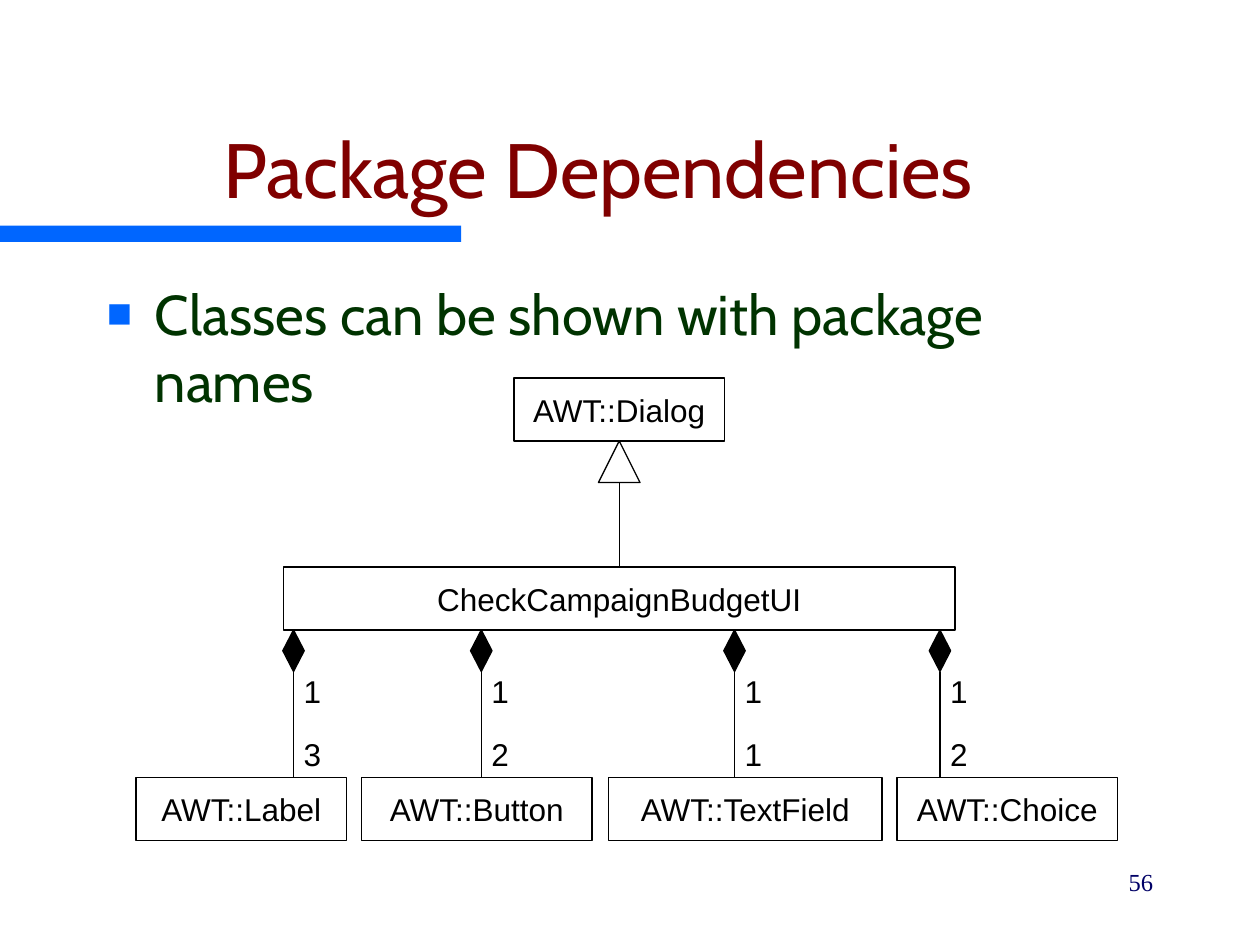
from lxml import etree
from pptx import Presentation
from pptx.dml.color import RGBColor
from pptx.enum.shapes import MSO_CONNECTOR, MSO_SHAPE
from pptx.enum.text import MSO_ANCHOR, PP_ALIGN
from pptx.oxml.ns import qn
from pptx.util import Inches, Pt

RECT, DIAMOND, TRIANGLE = MSO_SHAPE.RECTANGLE, MSO_SHAPE.DIAMOND, MSO_SHAPE.ISOSCELES_TRIANGLE
STRAIGHT = MSO_CONNECTOR.STRAIGHT
LEFT, CENTER, RIGHT = PP_ALIGN.LEFT, PP_ALIGN.CENTER, PP_ALIGN.RIGHT
TOP, MIDDLE, BOTTOM = MSO_ANCHOR.TOP, MSO_ANCHOR.MIDDLE, MSO_ANCHOR.BOTTOM

BLACK, WHITE, BLUE = "000000", "FFFFFF", "0066FF"
TITLE = "Package Dependencies"
BULLET = "Classes can be shown with package names"
PAGE = "56"
PARENT = ("AWT::Dialog", 4.08, 3, 1.67)
OWNER = ("CheckCampaignBudgetUI", 2.25, 4.5, 5.33)
PARTS = [
    ("AWT::Label", 1.08, 1.67, 2.33, "1", "3"),
    ("AWT::Button", 2.87, 1.83, 3.82, "1", "2"),
    ("AWT::TextField", 4.83, 2.17, 5.83, "1", "1"),
    ("AWT::Choice", 7.12, 1.75, 7.46, "1", "2"),
]
BOX_H, PART_Y = 0.5, 6.17
DIAMOND_W, HEAD = 0.17, 0.33

TITLE_FONT = {"name": "Cabin", "size": Pt(44)}
BODY_FONT = {"name": "Cabin", "size": Pt(32)}
CLASS_FONT = {"name": "Arial", "size": Pt(18)}
PAGE_FONT = {"name": "Times New Roman", "size": Pt(14)}


def rgb(value):
    return RGBColor.from_string(value)


def write(sp, text, font, color, align=LEFT, anchor=TOP, wrap=True, margin=None):
    tf = sp.text_frame
    tf.word_wrap = wrap
    tf.vertical_anchor = anchor
    if margin is not None:
        for side in ("left", "top", "right", "bottom"):
            setattr(tf, f"margin_{side}", Inches(margin))
    p = tf.paragraphs[0]
    p.alignment = align
    r = p.add_run()
    r.text = text
    for key, value in font.items():
        setattr(r.font, key, value)
    r.font.color.rgb = rgb(color)
    return p


def add_text(s, x, y, w, h, *args, **kwargs):
    sp = s.shapes.add_textbox(*map(Inches, (x, y, w, h)))
    return write(sp, *args, **kwargs)


def add_shape(s, kind, x, y, w, h, fill, line=BLACK):
    sp = s.shapes.add_shape(kind, *map(Inches, (x, y, w, h)))
    sp.shadow.inherit = False
    sp.fill.solid()
    sp.fill.fore_color.rgb = rgb(fill)
    if line:
        sp.line.color.rgb = rgb(line)
        sp.line.width = Pt(0.75)
    else:
        sp.line.fill.background()
    return sp


def add_class(s, name, x, y, w):
    sp = add_shape(s, RECT, x, y, w, BOX_H, WHITE)
    write(sp, name, CLASS_FONT, BLACK, CENTER, MIDDLE, wrap=False)
    return sp


def add_line(s, x, y1, y2):
    line = s.shapes.add_connector(STRAIGHT, *map(Inches, (x, y1, x, y2)))
    line.line.color.rgb = rgb(BLACK)
    line.line.width = Pt(0.75)
    etree.SubElement(line._element.spPr, qn("a:effectLst"))
    return line


def add_bullet(p, char, color, percent, indent):
    pPr = p._p.get_or_add_pPr()
    pPr.set("marL", str(Inches(indent)))
    pPr.set("indent", str(-Inches(indent)))
    clr = etree.SubElement(pPr, qn("a:buClr"))
    etree.SubElement(clr, qn("a:srgbClr"), val=color)
    etree.SubElement(pPr, qn("a:buSzPct"), val=str(percent * 1000))
    etree.SubElement(pPr, qn("a:buFont"), typeface="Arial")
    etree.SubElement(pPr, qn("a:buChar"), char=char)


def main():
    prs = Presentation()
    prs.slide_width, prs.slide_height = Inches(10), Inches(7.5)
    s = prs.slides.add_slide(prs.slide_layouts[6])

    add_shape(s, RECT, 0, 1.79, 3.66, 0.13, BLUE, line=None)
    add_text(s, 0.25, 0.5, 9, 1.25, TITLE, TITLE_FONT, "800000", CENTER, BOTTOM)
    p = add_text(s, 0.75, 2.17, 8.5, 4.5, BULLET, BODY_FONT, "003300")
    p.space_before = Pt(8)
    add_bullet(p, "■", BLUE, 75, 0.38)

    add_class(s, *PARENT)
    owner = add_class(s, *OWNER)
    owner_bottom = OWNER[2] + BOX_H
    for name, x, w, line_x, near, far in PARTS:
        add_class(s, name, x, PART_Y, w)
        diamond = add_shape(s, DIAMOND, line_x - DIAMOND_W / 2, owner_bottom,
                            DIAMOND_W, HEAD, BLACK)
        line = add_line(s, line_x, owner_bottom + HEAD, PART_Y)
        line.begin_connect(diamond, 2)
        for count, y in ((near, 5.33), (far, 5.83)):
            add_text(s, line_x + 0.08, y, 0.14, 0.3, count, CLASS_FONT, BLACK,
                     wrap=False, margin=0)

    center = OWNER[1] + OWNER[3] / 2
    parent_bottom = PARENT[2] + BOX_H
    add_shape(s, TRIANGLE, center - HEAD / 2, parent_bottom, HEAD, HEAD, WHITE)
    line = add_line(s, center, parent_bottom + HEAD, OWNER[2])
    line.end_connect(owner, 0)

    p = add_text(s, 7.17, 6.83, 2.08, 0.5, PAGE, PAGE_FONT, "000066", RIGHT)
    p.space_before = Pt(8.8)
    prs.save("out.pptx")


if __name__ == "__main__":
    main()
